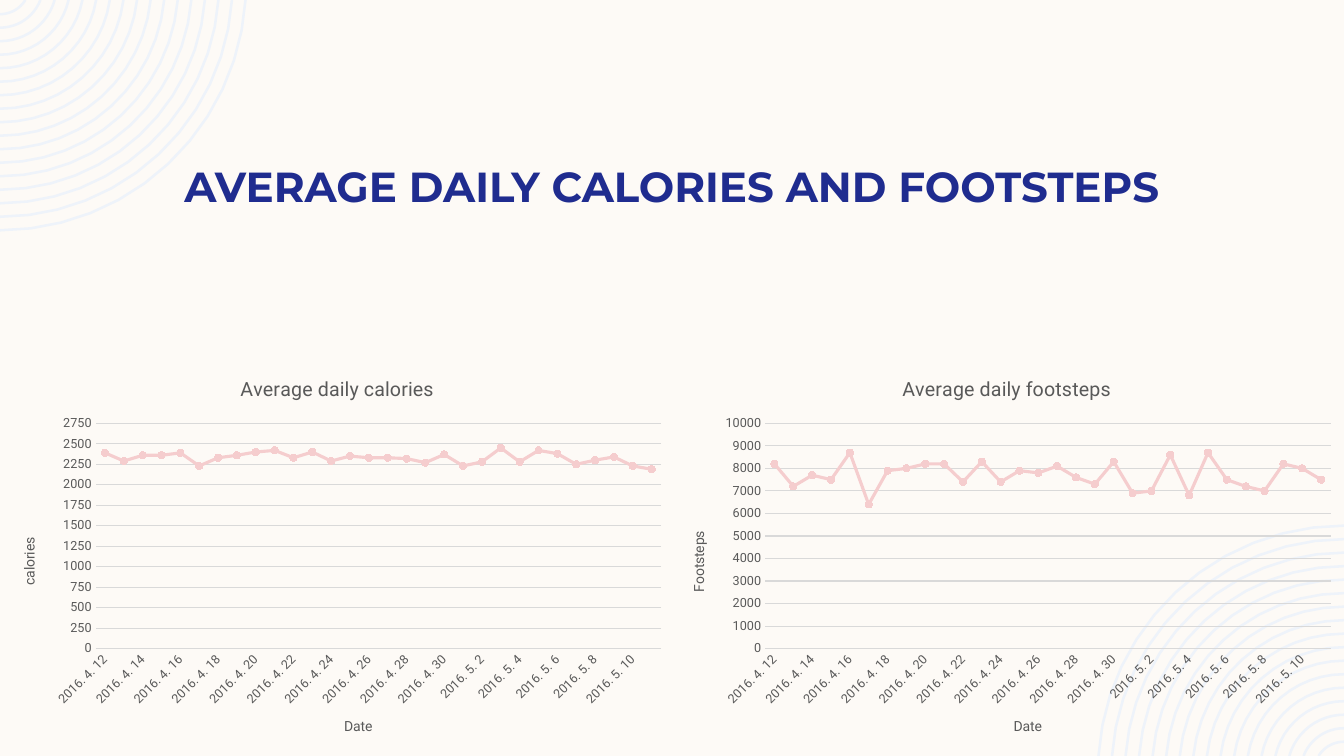
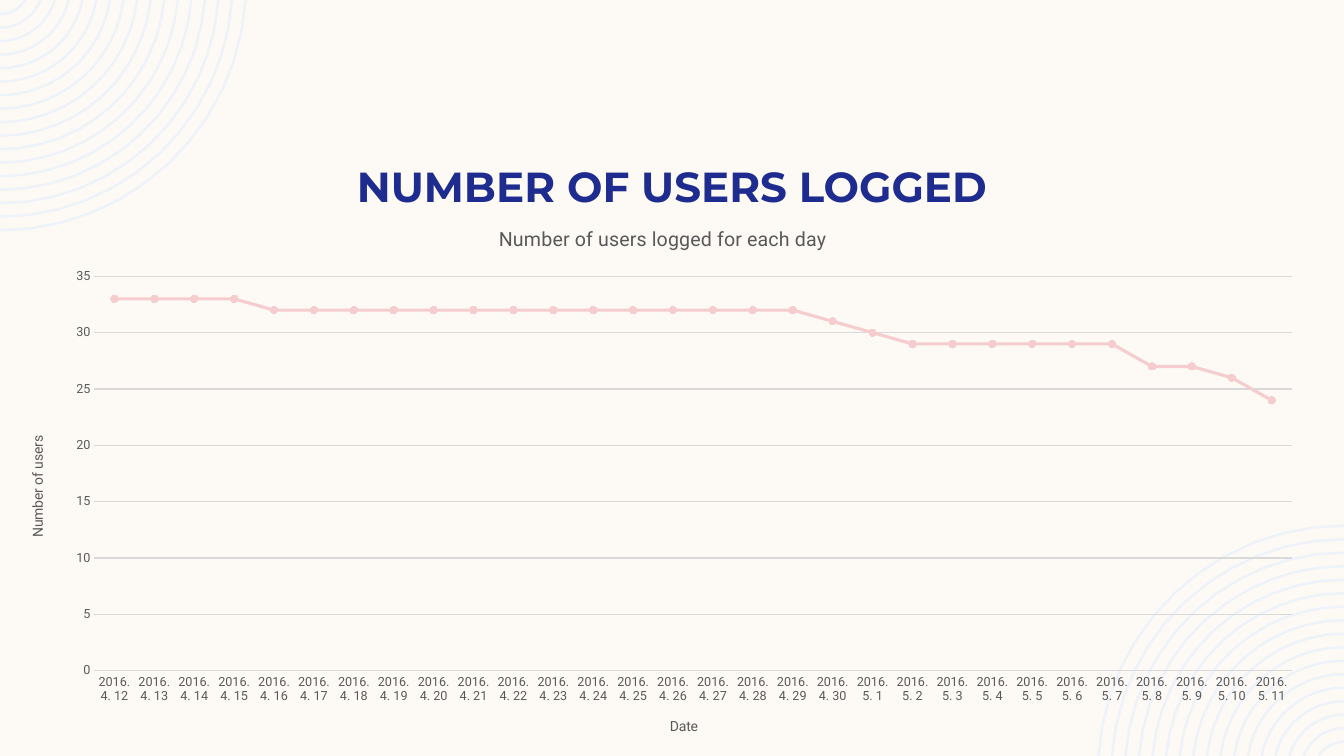
import math

import pptx
import pptx.chart.data
import pptx.dml.color
import pptx.enum.chart
import pptx.enum.text
import pptx.util

Inches = pptx.util.Inches
Pt = pptx.util.Pt

COLORS = {
    "paper": "FDFAF6",
    "rings": "EEF3FA",
    "heading": "1F2C8F",
    "label": "595959",
    "grid": "D9D9D9",
    "trend": "F5CDCE",
}
WIDTH, HEIGHT = 13.33, 7.5
RING_COUNT, RING_STEP, RING_WEIGHT = 17, 0.134, 1.8
OUTER_RADIUS, CENTER_OFFSET = 2.44, 0.155
ARC_STEPS = 12

HEADING_FONT = {"name": "Montserrat", "size": Pt(30), "bold": True}
CHART_TITLE_FONT = {"name": "Roboto", "size": Pt(14), "bold": False}
AXIS_TITLE_FONT = {"name": "Roboto", "size": Pt(10), "bold": False}
TICK_FONT = {"name": "Roboto", "size": Pt(9), "bold": False}

DATES = [f"2016. 4. {day}" for day in range(12, 31)]
DATES += [f"2016. 5. {day}" for day in range(1, 12)]

CALORIES = [
    2390, 2290, 2360, 2360, 2390, 2230, 2330, 2360, 2400, 2420,
    2330, 2400, 2290, 2350, 2330, 2330, 2320, 2270, 2370, 2230,
    2280, 2450, 2280, 2420, 2380, 2250, 2300, 2340, 2230, 2190,
]
FOOTSTEPS = [
    8200, 7200, 7700, 7500, 8700, 6400, 7900, 8000, 8200, 8200,
    7400, 8300, 7400, 7900, 7800, 8100, 7600, 7300, 8300, 6900,
    7000, 8600, 6800, 8700, 7500, 7200, 7000, 8200, 8000, 7500,
]
USERS = [33] * 4 + [32] * 14 + [31, 30] + [29] * 6 + [27, 27, 26, 24]


def rgb(color):
    return pptx.dml.color.RGBColor.from_string(COLORS[color])


def apply(target, values):
    for attribute, value in values.items():
        setattr(target, attribute, value)


def style_font(font, values, color):
    apply(font, values)
    font.color.rgb = rgb(color)


def style_line(line, color, width):
    line.color.rgb = rgb(color)
    line.width = Pt(width)


def arc(radius):
    start = math.asin(CENTER_OFFSET / radius)
    angles = [start + (math.pi / 2 - start) * i / ARC_STEPS for i in range(ARC_STEPS + 1)]
    return [(radius * math.cos(a), radius * math.sin(a) - CENTER_OFFSET) for a in angles]


def add_rings(slide, place):
    builder = None
    for index in range(RING_COUNT):
        outline = arc(OUTER_RADIUS - index * RING_STEP)
        points = [tuple(Inches(v) for v in place(x, y)) for x, y in outline]
        if builder is None:
            builder = slide.shapes.build_freeform(*points[0], scale=1.0)
        else:
            builder.move_to(*points[0])
        builder.add_line_segments(points[1:], close=False)
    rings = builder.convert_to_shape()
    rings.shadow.inherit = False
    rings.fill.background()
    style_line(rings.line, "rings", RING_WEIGHT)
    return rings


def decorate_layout(slide):
    layout = slide.slide_layout
    for placeholder in list(layout.placeholders):
        layout.shapes.element.remove(placeholder.element)
    corners = [
        add_rings(slide, lambda x, y: (x, y)),
        add_rings(slide, lambda x, y: (WIDTH - x, HEIGHT - y)),
    ]
    for rings in corners:
        layout.shapes.element.append(rings.element)


def add_heading(slide, text):
    frame = slide.shapes.add_textbox(
        Inches(0.83), Inches(1.33), Inches(11.67), Inches(0.84)
    ).text_frame
    apply(frame, {
        "word_wrap": True,
        "vertical_anchor": pptx.enum.text.MSO_ANCHOR.MIDDLE,
    })
    paragraph = frame.paragraphs[0]
    apply(paragraph, {
        "alignment": pptx.enum.text.PP_ALIGN.CENTER,
        "line_spacing": Pt(48.8),
    })
    run = paragraph.add_run()
    run.text = text
    style_font(run.font, HEADING_FONT, "heading")


def add_titled_slide(deck, heading):
    slide = deck.slides.add_slide(deck.slide_layouts[6])
    add_heading(slide, heading)
    return slide


def set_title(title, text, font_values):
    title.text_frame.text = text
    style_font(title.text_frame.paragraphs[0].runs[0].font, font_values, "label")


def style_axis(axis, title):
    set_title(axis.axis_title, title, AXIS_TITLE_FONT)
    apply(axis, {
        "major_tick_mark": pptx.enum.chart.XL_TICK_MARK.NONE,
        "minor_tick_mark": pptx.enum.chart.XL_TICK_MARK.NONE,
    })
    style_font(axis.tick_labels.font, TICK_FONT, "label")


def style_trend(series):
    series.smooth = False
    style_line(series.format.line, "trend", 2.25)
    marker = series.marker
    apply(marker, {"style": pptx.enum.chart.XL_MARKER_STYLE.CIRCLE, "size": 5})
    marker.format.fill.solid()
    marker.format.fill.fore_color.rgb = rgb("trend")
    style_line(marker.format.line, "trend", 0.75)


def rotate_text(chart, location, degrees):
    body = chart.element.xpath(f".//{location}/a:bodyPr")[0]
    body.set("rot", str(degrees * 60000))
    body.set("vert", "horz")


def add_daily_chart(slide, box, title, measure, values, top, step, date_angle=0):
    daily = pptx.chart.data.CategoryChartData()
    daily.categories = DATES
    daily.add_series("Series 1", values)
    chart = slide.shapes.add_chart(
        pptx.enum.chart.XL_CHART_TYPE.LINE_MARKERS, *map(Inches, box), daily
    ).chart
    chart.has_legend = False
    apply(chart.font, {"name": "Roboto", "size": Pt(10)})
    set_title(chart.chart_title, title, CHART_TITLE_FONT)
    chart.plots[0].vary_by_categories = False
    style_trend(chart.plots[0].series[0])

    style_axis(chart.category_axis, "Date")
    style_line(chart.category_axis.format.line, "grid", 0.75)
    style_axis(chart.value_axis, measure)
    apply(chart.value_axis, {
        "minimum_scale": 0,
        "maximum_scale": top,
        "major_unit": step,
        "has_major_gridlines": True,
    })
    chart.value_axis.format.line.fill.background()
    style_line(chart.value_axis.major_gridlines.format.line, "grid", 0.75)
    rotate_text(chart, "c:valAx/c:title/c:tx/c:rich", -90)
    rotate_text(chart, "c:catAx/c:txPr", date_angle)


def main():
    deck = pptx.Presentation()
    apply(deck, {"slide_width": Inches(WIDTH), "slide_height": Inches(HEIGHT)})
    backdrop = deck.slide_master.background.fill
    backdrop.solid()
    backdrop.fore_color.rgb = rgb("paper")

    averages = add_titled_slide(deck, "AVERAGE DAILY CALORIES AND FOOTSTEPS")
    decorate_layout(averages)
    add_daily_chart(averages, (0, 3.56, 6.69, 3.94), "Average daily calories",
                    "calories", CALORIES, 2750, 250, -45)
    add_daily_chart(averages, (6.64, 3.56, 6.69, 3.94), "Average daily footsteps",
                    "Footsteps", FOOTSTEPS, 10000, 1000, -45)

    logins = add_titled_slide(deck, "NUMBER OF USERS LOGGED")
    add_daily_chart(logins, (0.08, 2.04, 12.99, 5.46), "Number of users logged for each day",
                    "Number of users", USERS, 35, 5)
    deck.save("out.pptx")


if __name__ == "__main__":
    main()
